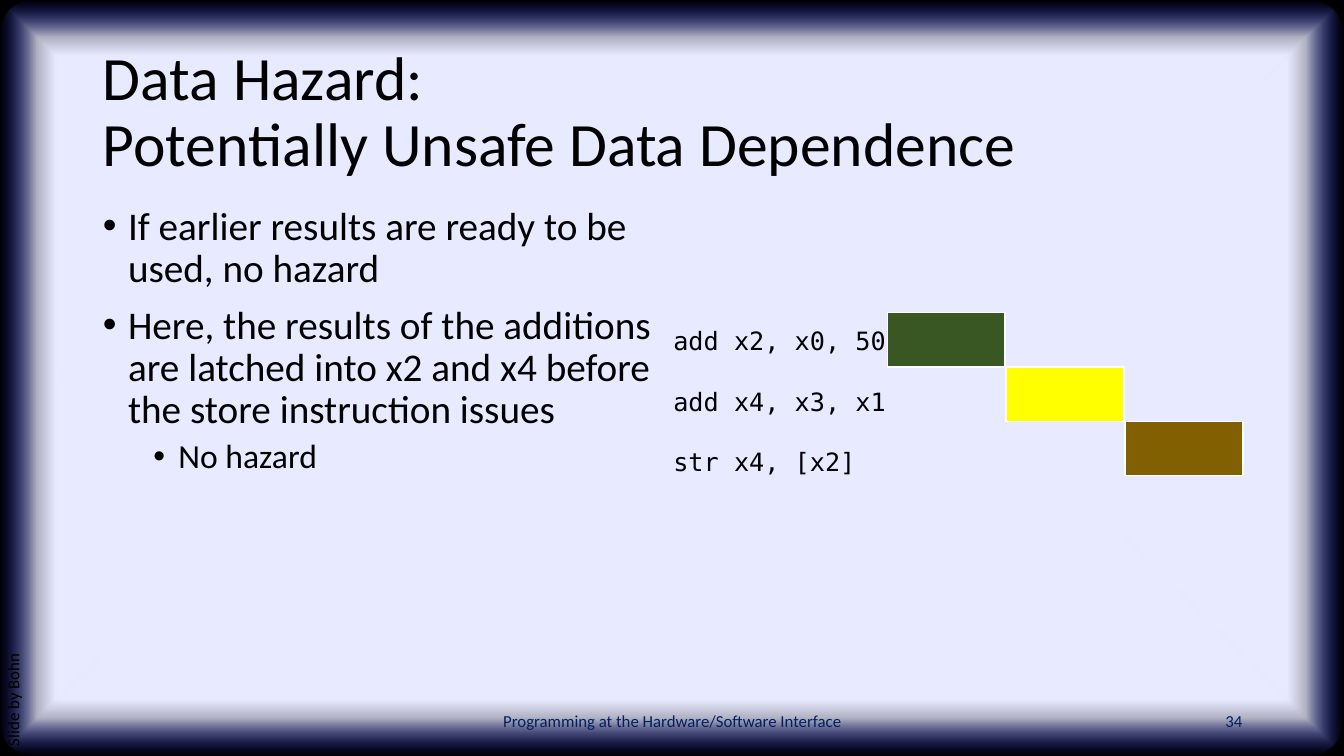
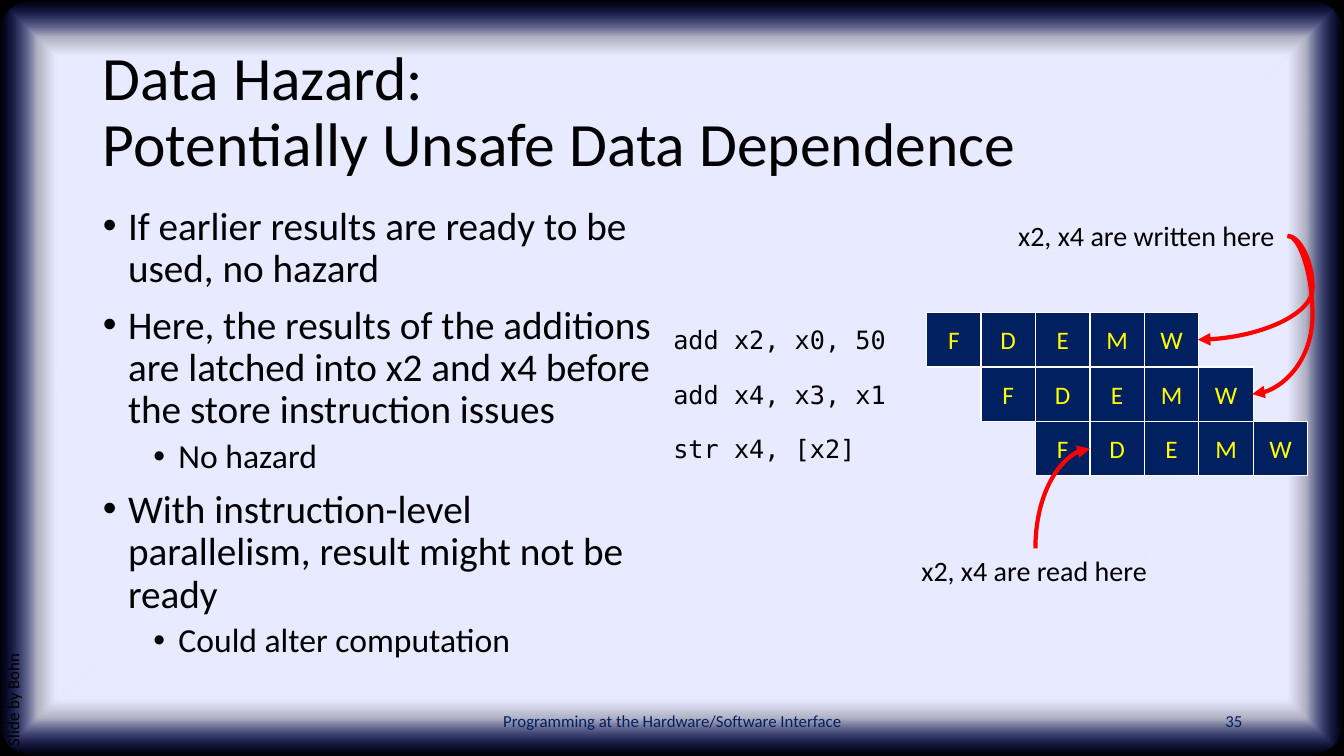
from typing import Any, NamedTuple

from lxml import etree
from pptx import Presentation
from pptx.dml.color import RGBColor
from pptx.enum.shapes import MSO_CONNECTOR, MSO_SHAPE
from pptx.enum.text import MSO_ANCHOR, MSO_AUTO_SIZE, PP_ALIGN
from pptx.oxml import parse_xml
from pptx.oxml.ns import nsdecls, qn
from pptx.util import Inches, Pt

RECT, ROUND = MSO_SHAPE.RECTANGLE, MSO_SHAPE.ROUNDED_RECTANGLE
CURVE = MSO_CONNECTOR.CURVE
LEFT, MID, RIGHT = PP_ALIGN.LEFT, PP_ALIGN.CENTER, PP_ALIGN.RIGHT
TOP, CENTER, BOTTOM = MSO_ANCHOR.TOP, MSO_ANCHOR.MIDDLE, MSO_ANCHOR.BOTTOM
FIXED = MSO_AUTO_SIZE.NONE

SANS, MONO = "Calibri", "DejaVu Sans Mono"
BLACK, WHITE, NAVY = "000000", "FFFFFF", "002060"
YELLOW, RED = "FFFF00", "FF0000"
WIDE, HIGH = 13.33, 7.5
CELL, ROW = 0.54, 3.1
CODE = ["add x2, x0, 50", "add x4, x3, x1", "str x4, [x2]"]
TITLE = "Data Hazard:\vPotentially Unsafe Data Dependence"


class Box(NamedTuple):
    x: float
    y: float
    w: float
    h: float


class Look(NamedTuple):
    size: float
    color: str = BLACK
    face: str = SANS
    align: Any = LEFT
    anchor: Any = TOP
    space: float = 1.0
    wrap: bool = True


class Item(NamedTuple):
    text: str
    level: int = 0


class Arc(NamedTuple):
    """A curved arrow; bend is the adjust value, None for a quarter turn."""
    x1: float
    y1: float
    x2: float
    y2: float
    bend: int | None
    end: str


HEAD = Look(44, anchor=CENTER, space=0.9)
FOOT = Look(12, NAVY, align=MID, anchor=CENTER)
NUMBER = FOOT._replace(align=RIGHT)
CREDIT = Look(12, space=0.9)
LIST = Look(28, space=0.9)
STAGE = Look(18, YELLOW, align=MID, anchor=CENTER)
LINE = Look(18, face=MONO, wrap=False)
BLOCK = LINE._replace(anchor=BOTTOM, space=2.0)
LABEL = Look(20, wrap=False)

ITEMS = [
    Item("If earlier results are ready to be used, no hazard"),
    Item("Here, the results of the additions are latched into x2 and x4 "
         "before the store instruction issues"),
    Item("No hazard", 1),
    Item("With instruction-level parallelism, result might not be ready"),
    Item("Could alter computation", 1),
]
ARCS = [
    Arc(12.77, 2.34, 11.88, 3.37, -28100, "tailEnd"),
    Arc(12.77, 2.34, 12.42, 3.91, -71000, "tailEnd"),
    Arc(10.81, 4.45, 10.27, 5.44, None, "headEnd"),
]


def rgb(code: str) -> RGBColor:
    return RGBColor.from_string(code)


def apply(target: Any, values: dict[str, Any]) -> None:
    for name, value in values.items():
        setattr(target, name, value)


def place(shape: Any, box: Box) -> None:
    names = ("left", "top", "width", "height")
    apply(shape, dict(zip(names, map(Inches, box))))


def style(para: Any, look: Look) -> None:
    apply(para, {"alignment": look.align, "line_spacing": look.space})
    for run in para.runs:
        apply(run.font, {"name": look.face, "size": Pt(look.size)})
        run.font.color.rgb = rgb(look.color)


def write(shape: Any, lines: list[str], look: Look) -> None:
    frame = shape.text_frame
    frame.text = "\n".join(lines)
    apply(frame, {"word_wrap": look.wrap, "auto_size": FIXED,
                  "vertical_anchor": look.anchor})
    for para in frame.paragraphs:
        style(para, look)


def text(slide: Any, box: Box, lines: list[str], look: Look) -> Any:
    shape = slide.shapes.add_textbox(*map(Inches, box))
    write(shape, lines, look)
    return shape


def block(slide: Any, box: Box, fill: str, edge: str | None = None,
          kind: Any = RECT) -> Any:
    shape = slide.shapes.add_shape(kind, *map(Inches, box))
    shape.shadow.inherit = False
    shape.fill.solid()
    shape.fill.fore_color.rgb = rgb(fill)
    if edge:
        shape.line.color.rgb = rgb(edge)
        shape.line.width = Pt(1)
    else:
        shape.line.fill.background()
    return shape


def glow(shape: Any) -> None:
    """Fade the fill from a pale centre to clear edges."""
    stops = [(85, "E8EAFF", 100), (90, "E8EAFF", 75), (100, "162AFF", 0)]
    marks = "".join(
        f'<a:gs pos="{pos * 1000}"><a:srgbClr val="{code}">'
        f'<a:alpha val="{alpha * 1000}"/></a:srgbClr></a:gs>'
        for pos, code, alpha in stops)
    fill = parse_xml(
        f'<a:gradFill {nsdecls("a")} rotWithShape="1"><a:gsLst>{marks}</a:gsLst>'
        '<a:path path="shape"><a:fillToRect l="50000" t="50000" r="50000" '
        'b="50000"/></a:path></a:gradFill>')
    props = shape.element.spPr
    props.replace(props.find(qn("a:solidFill")), fill)


def border(slide: Any, layout: Any) -> None:
    """Draw the frame and move it to the back of the layout."""
    full = Box(0, 0, WIDE, HIGH)
    back = block(slide, full, BLACK)
    pane = block(slide, full, WHITE, kind=ROUND)
    pane.adjustments[0] = 0.048
    glow(pane)
    for i, shape in enumerate((back, pane)):
        shape.element.nvSpPr.cNvPr.set("id", str(90 + i))
        layout.element.cSld.spTree.insert(2 + i, shape.element)


def bullets(shape: Any, items: list[Item]) -> None:
    write(shape, [item.text for item in items], LIST)
    for i, (para, item) in enumerate(zip(shape.text_frame.paragraphs, items)):
        props = para._p.get_or_add_pPr()
        props.set("marL", str(Inches(0.25 + 0.5 * item.level)))
        props.set("indent", str(Inches(-0.25)))
        font = etree.SubElement(props, qn("a:buFont"))
        font.set("typeface", "Arial")
        etree.SubElement(props, qn("a:buChar")).set("char", "•")
        gap = (5 if item.level else 10) if i else 0
        apply(para, {"level": item.level, "space_before": Pt(gap),
                     "space_after": Pt(0)})
        style(para, LIST._replace(size=28 - 4 * item.level))


def arrow(slide: Any, arc: Arc) -> None:
    ends = map(Inches, (arc.x1, arc.y1, arc.x2, arc.y2))
    link = slide.shapes.add_connector(CURVE, *ends)
    link.line.color.rgb = rgb(RED)
    link.line.width = Pt(3)
    props = link.element.spPr
    shape = props.find(qn("a:prstGeom"))
    if arc.bend is None:
        shape.set("prst", "curvedConnector2")
    else:
        guide = etree.SubElement(shape.find(qn("a:avLst")), qn("a:gd"))
        guide.set("name", "adj1")
        guide.set("fmla", f"val {arc.bend}")
    tip = etree.SubElement(props.find(qn("a:ln")), qn(f"a:{arc.end}"))
    tip.set("type", "triangle")
    etree.SubElement(props, qn("a:effectLst"))


def base(slide: Any, page: int, items: list[Item]) -> None:
    """Fill in the title, list, footer and credit."""
    head, body = slide.placeholders
    place(head, Box(0.92, 0.4, 11.5, 1.45))
    write(head, [TITLE], HEAD)
    place(body, Box(0.92, 2, 5.67, 4.76))
    bullets(body, items)
    text(slide, Box(4.42, 6.95, 4.5, 0.4),
         ["Programming at the Hardware/Software Interface"], FOOT)
    text(slide, Box(9.42, 6.95, 3, 0.4), [str(page)], NUMBER)
    side = text(slide, Box(-2.44, 4.66, 5.28, 0.4), ["Slide by Bohn"], CREDIT)
    side.rotation = 270


def steps(slide: Any) -> None:
    """Draw one bar per instruction, each after the last."""
    for i, fill in enumerate(("385723", YELLOW, "806000")):
        block(slide, Box(8.8 + 1.18 * i, ROW + CELL * i, 1.17, CELL),
              fill, WHITE)
    text(slide, Box(6.58, 2.96, 2.34, 1.82), CODE, BLOCK)


def pipe(slide: Any) -> None:
    """Draw the overlapping pipeline stages and their notes."""
    for i, code in enumerate(CODE):
        y = ROW + CELL * i
        for j, name in enumerate("FDEMW"):
            cell = block(slide, Box(9.19 + CELL * (i + j), y, CELL, CELL),
                         NAVY, WHITE)
            write(cell, [name], STAGE)
        text(slide, Box(6.58, y + 0.07, 2.34, 0.4), [code], LINE)
    text(slide, Box(10, 2.12, 2.78, 0.44), ["x2, x4 are written here"], LABEL)
    text(slide, Box(9.04, 5.44, 2.46, 0.44), ["x2, x4 are read here"], LABEL)
    for arc in ARCS:
        arrow(slide, arc)


def main() -> None:
    deck = Presentation()
    apply(deck, {"slide_width": Inches(WIDE), "slide_height": Inches(HIGH)})
    layout = deck.slide_layouts[1]
    first, second = (deck.slides.add_slide(layout) for _ in range(2))
    border(first, layout)
    base(first, 34, ITEMS[:3])
    steps(first)
    base(second, 35, ITEMS)
    pipe(second)
    deck.save("out.pptx")


if __name__ == "__main__":
    main()
